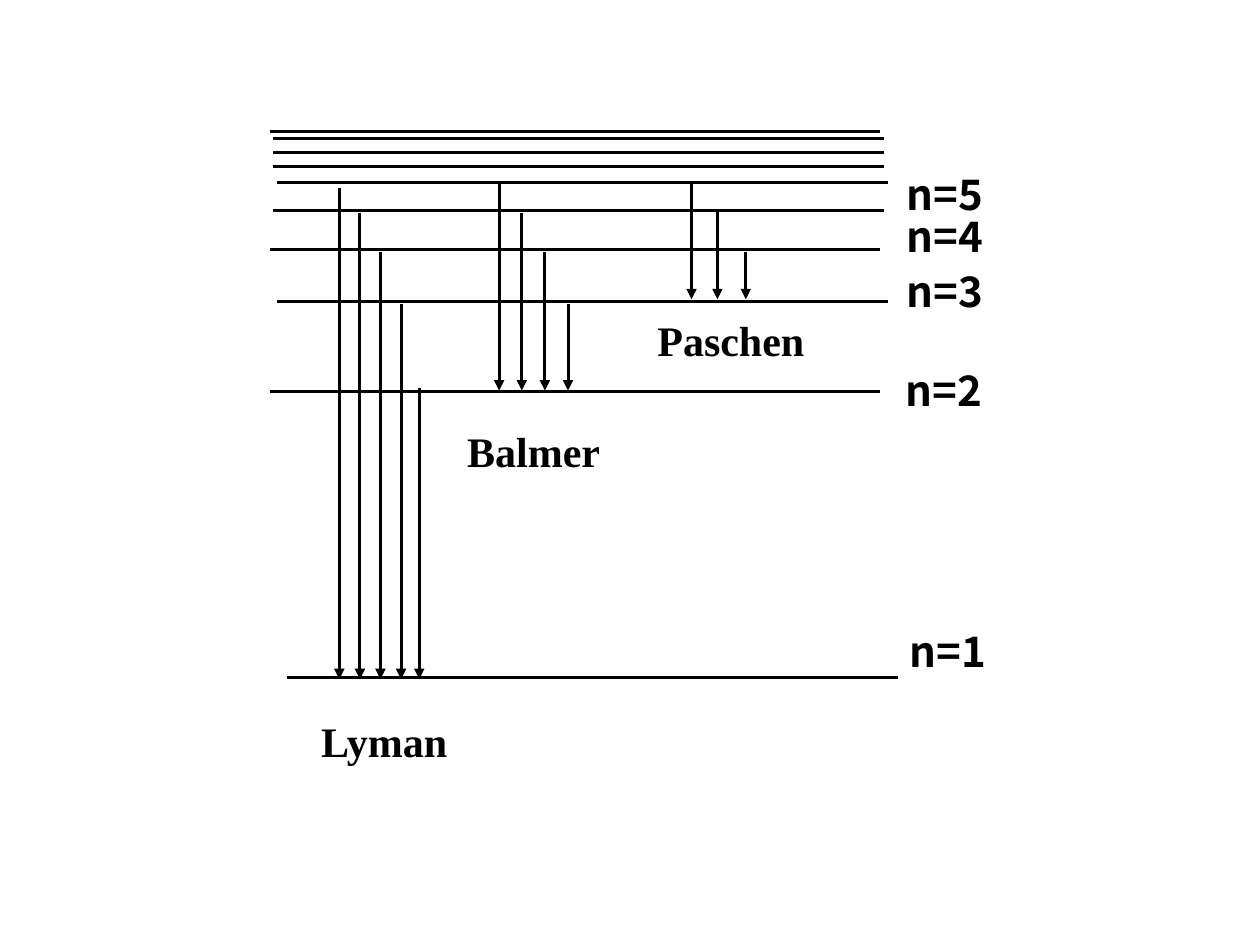
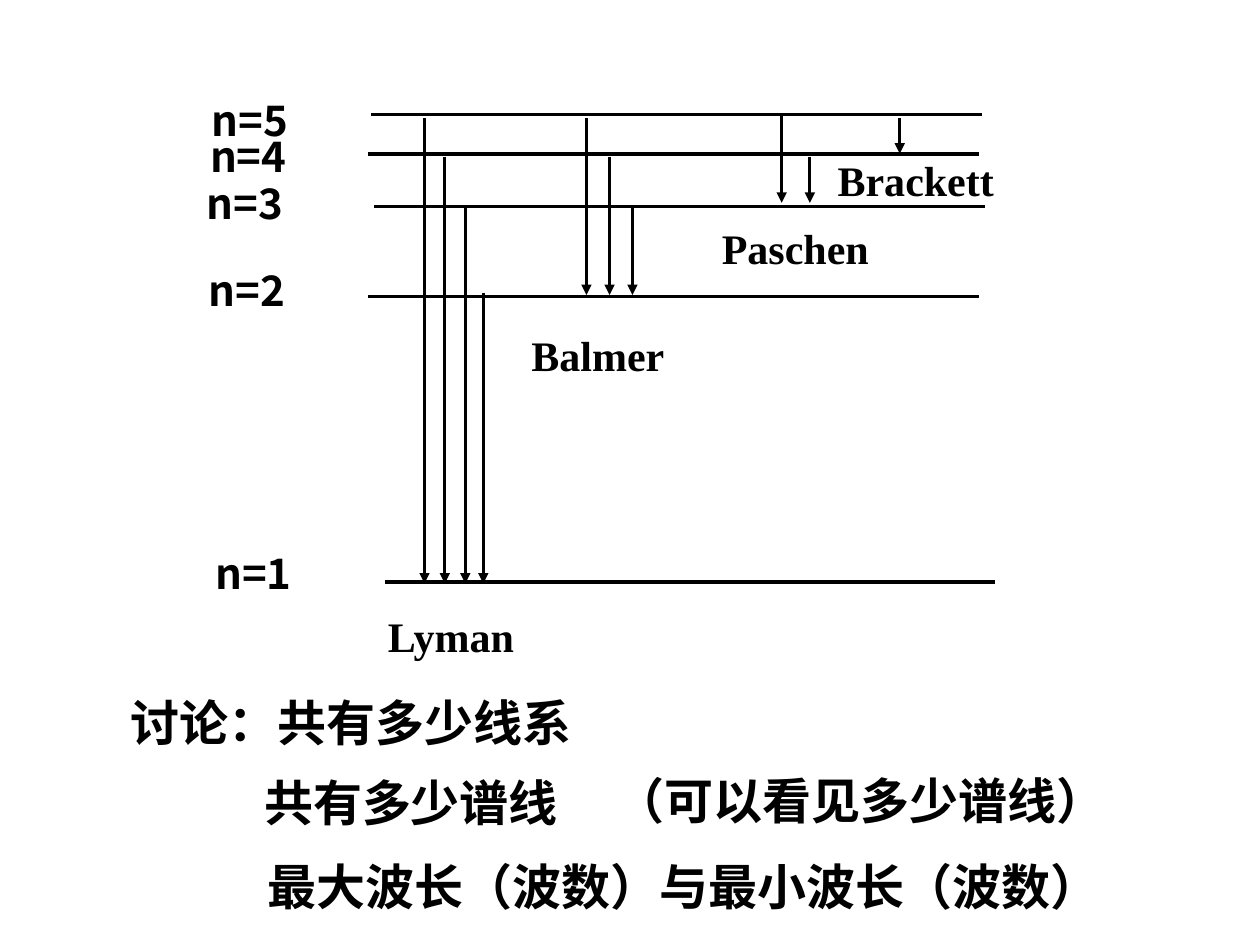
import pptx
import pptx.util
import pptx.dml.color
import pptx.enum.shapes
import pptx.enum.text
import pptx.oxml.ns
import lxml.etree

Pt = pptx.util.Pt
INK = pptx.dml.color.RGBColor(0, 0, 0)
SANS = "Noto Sans CJK SC"
SERIF = "Times New Roman"
WIDE = 349
FORMS = {
    "level": {"size": Pt(24), "name": SANS, "bold": True},
    "series": {"size": Pt(24), "name": SERIF, "bold": True},
    "question": {"size": Pt(28), "name": SERIF, "bold": True},
}

# levels: (left, y) from n=1 upward; tags: label (left, top) from n=1 upward
# series: name, label (left, top), end y, then (x, gap below start level)
PAGES = [
    {
        "levels": [(164.2, 387.4), (154.1, 223.9), (158.4, 172.1), (154.1, 142.6), (156.2, 120.2),
                   (158.4, 104.4), (156.2, 95), (156.2, 87.1), (156.2, 79.2), (154.1, 74.9)],
        "top": 6,
        "tags": [(512.6, 354.2), (510.5, 204.5), (511.2, 148.3), (511.2, 116.6), (511.2, 92.9)],
        "series": [
            ("Lyman", (176.4, 405.4), 388.1,
             [(193.9, 2.9), (205.7, 1.5), (217.4, 1.5), (229.2, 1.5), (239.6, -2)]),
            ("Balmer", (259.9, 239.8), 223.2,
             [(285.2, 0), (298.2, 1.5), (311.4, 1.5), (324.6, 1.5)]),
            ("Paschen", (368.6, 176.4), 171,
             [(395.2, 0), (410, 0), (426.2, 1.5)]),
        ],
        "questions": [],
    },
    {
        "levels": [(219.8, 332.6), (210.2, 169.4), (214, 117.9), (210.2, 88), (212.2, 65.7)],
        "top": 5,
        "tags": [(115.9, 309.6), (112.3, 147.6), (110.9, 97.9), (113, 71.3), (113.8, 50.4)],
        "series": [
            ("Lyman", (214.6, 345.6), 333.4,
             [(242.6, 2), (254.2, 1.5), (265.9, 1), (276.2, -2)]),
            ("Balmer", (296.6, 185), 168.6,
             [(335.1, 2), (348.3, 1.5), (361.4, 1)]),
            ("Paschen", (405.4, 123.8), 115.9,
             [(446.7, 0.5), (462.8, 1.5)]),
            ("Brackett", (471.6, 85), 87.8,
             [(514.2, 2)]),
        ],
        "questions": [
            ("讨论：共有多少线系", 67.7, 392.4, 490, 0),
            ("共有多少谱线", 74.9, 437.8, 492, 69),
            ("最大波长（波数）与最小波长（波数）", 77, 486, 589, 69),
            ("（可以看见多少谱线）", 288.7, 437, 431, 56),
        ],
    },
]


def stroke(slide, start, end, arrow=False):
    line = slide.shapes.add_connector(
        pptx.enum.shapes.MSO_CONNECTOR.STRAIGHT, *map(Pt, start + end))
    line.line.color.rgb = INK
    line.line.width = Pt(1.75)
    props = line._element.spPr
    if arrow:
        tail = lxml.etree.SubElement(line.line._get_or_add_ln(), pptx.oxml.ns.qn("a:tailEnd"))
        tail.set("type", "triangle")
    lxml.etree.SubElement(props, pptx.oxml.ns.qn("a:effectLst"))


def write(slide, text, spot, size, form, indent=0):
    frame = slide.shapes.add_textbox(*map(Pt, spot + size)).text_frame
    frame.word_wrap = True
    frame.auto_size = pptx.enum.text.MSO_AUTO_SIZE.SHAPE_TO_FIT_TEXT
    para = frame.paragraphs[0]
    if indent:
        para._p.get_or_add_pPr().set("marL", str(Pt(indent)))
    run = para.add_run()
    run.text = text
    for key, value in FORMS[form].items():
        setattr(run.font, key, value)
    run.font.color.rgb = INK
    east = lxml.etree.SubElement(run._r.get_or_add_rPr(), pptx.oxml.ns.qn("a:ea"))
    east.set("typeface", SANS)


def draw(slide, page):
    levels = page["levels"]
    for left, y in levels:
        stroke(slide, (left, y), (left + WIDE, y))
    for n, spot in enumerate(page["tags"], 1):
        write(slide, f"n={n}", spot, (95.8, 36), "level")
    for name, spot, end, arrows in page["series"]:
        for step, (x, gap) in enumerate(arrows, 1):
            y = levels[page["top"] - step][1]
            stroke(slide, (x, y + gap), (x, end), True)
        write(slide, name, spot, (146.9, 36), "series")
    for text, left, top, width, indent in page["questions"]:
        write(slide, text, (left, top), (width, 41), "question", indent)


def main():
    deck = pptx.Presentation()
    deck.slide_width, deck.slide_height = Pt(720), Pt(540)
    for page in PAGES:
        draw(deck.slides.add_slide(deck.slide_layouts[6]), page)
    deck.save("out.pptx")


if __name__ == "__main__":
    main()
